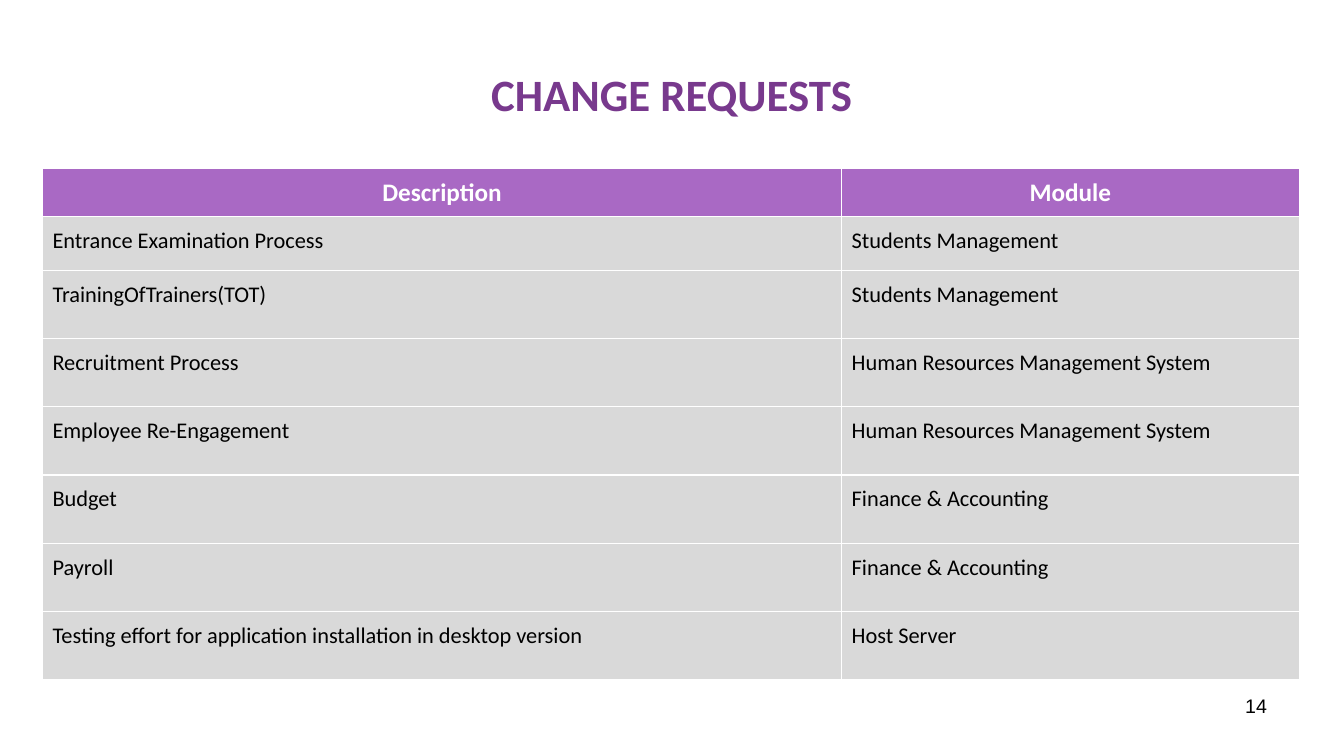
from dataclasses import dataclass

from lxml.etree import SubElement
from pptx import Presentation
from pptx.dml.color import RGBColor
from pptx.enum.text import MSO_ANCHOR, PP_ALIGN
from pptx.oxml.ns import qn
from pptx.util import Cm, Pt


@dataclass(frozen=True)
class Theme:
    font: str = "Calibri"
    number_font: str = "Arial"
    title: str = "78398D"
    header: str = "A969C4"
    body: str = "D9D9D9"
    white: str = "FFFFFF"
    black: str = "000000"
    title_size: int = 32
    header_size: int = 18
    body_size: int = 16
    number_size: int = 14


THEME = Theme()

HEADINGS = ("Description", "Module")
REQUESTS = [
    ("Entrance Examination Process", "Students Management"),
    ("TrainingOfTrainers(TOT)", "Students Management"),
    ("Recruitment Process", "Human Resources Management System"),
    ("Employee Re-Engagement", "Human Resources Management System"),
    ("Budget", "Finance & Accounting"),
    ("Payroll", "Finance & Accounting"),
    ("Testing effort for application installation in desktop version", "Host Server"),
]
COLUMN_WIDTHS = (20.14, 11.53)
HEADER_HEIGHT, FIRST_HEIGHT, ROW_HEIGHT = 1.2, 1.36, 1.72


def write_text(tf, text, *, size, color=THEME.black, font=THEME.font, bold=False,
               align=PP_ALIGN.LEFT, spacing=None):
    p = tf.paragraphs[0]
    p.alignment = align
    if spacing:
        p.line_spacing = spacing
    r = p.add_run()
    r.text = text
    r.font.name = font
    r.font.size = Pt(size)
    r.font.bold = bold
    r.font.color.rgb = RGBColor.from_string(color)


def add_label(s, text, left, top, width, height, anchor=MSO_ANCHOR.TOP, **style):
    tf = s.shapes.add_textbox(Cm(left), Cm(top), Cm(width), Cm(height)).text_frame
    tf.word_wrap = True
    tf.vertical_anchor = anchor
    write_text(tf, text, **style)


def set_borders(cell, color, width):
    tc_pr = cell._tc.get_or_add_tcPr()
    for position, side in enumerate(("a:lnL", "a:lnR", "a:lnT", "a:lnB")):
        ln = SubElement(tc_pr, qn(side), w=str(Pt(width)))
        SubElement(SubElement(ln, qn("a:solidFill")), qn("a:srgbClr"), val=color)
        tc_pr.insert(position, ln)  # borders come before the fill


def fill_cell(cell, text, fill, anchor=MSO_ANCHOR.TOP, **style):
    cell.fill.solid()
    cell.fill.fore_color.rgb = RGBColor.from_string(fill)
    cell.vertical_anchor = anchor
    set_borders(cell, THEME.white, 1)
    write_text(cell.text_frame, text, **style)


def add_request_table(s, left, top):
    heights = [HEADER_HEIGHT, FIRST_HEIGHT] + [ROW_HEIGHT] * (len(REQUESTS) - 1)
    table = s.shapes.add_table(len(heights), len(HEADINGS), Cm(left), Cm(top),
                               Cm(sum(COLUMN_WIDTHS)), Cm(sum(heights))).table
    for column, width in zip(table.columns, COLUMN_WIDTHS):
        column.width = Cm(width)
    for row, height in zip(table.rows, heights):
        row.height = Cm(height)

    # Header row
    for cell, heading in zip(table.rows[0].cells, HEADINGS):
        fill_cell(cell, heading, THEME.header, MSO_ANCHOR.MIDDLE, size=THEME.header_size,
                  color=THEME.white, bold=True, align=PP_ALIGN.CENTER)

    # Request rows
    for i, request in enumerate(REQUESTS, start=1):
        for cell, text in zip(table.rows[i].cells, request):
            fill_cell(cell, text, THEME.body, size=THEME.body_size, spacing=1.2)


def main():
    prs = Presentation()
    prs.slide_width, prs.slide_height = Cm(33.87), Cm(19.05)
    s = prs.slides.add_slide(prs.slide_layouts[6])

    # Title
    add_label(s, "CHANGE REQUESTS", 1.69, 0.76, 30.48, 3.18, MSO_ANCHOR.MIDDLE,
              size=THEME.title_size, color=THEME.title, bold=True, align=PP_ALIGN.CENTER)

    # Table of requests
    add_request_table(s, 1.07, 4.25)

    # Slide number
    add_label(s, "14", 24.28, 17.35, 7.9, 1.32, size=THEME.number_size,
              font=THEME.number_font, align=PP_ALIGN.RIGHT)

    prs.save("out.pptx")


if __name__ == "__main__":
    main()
